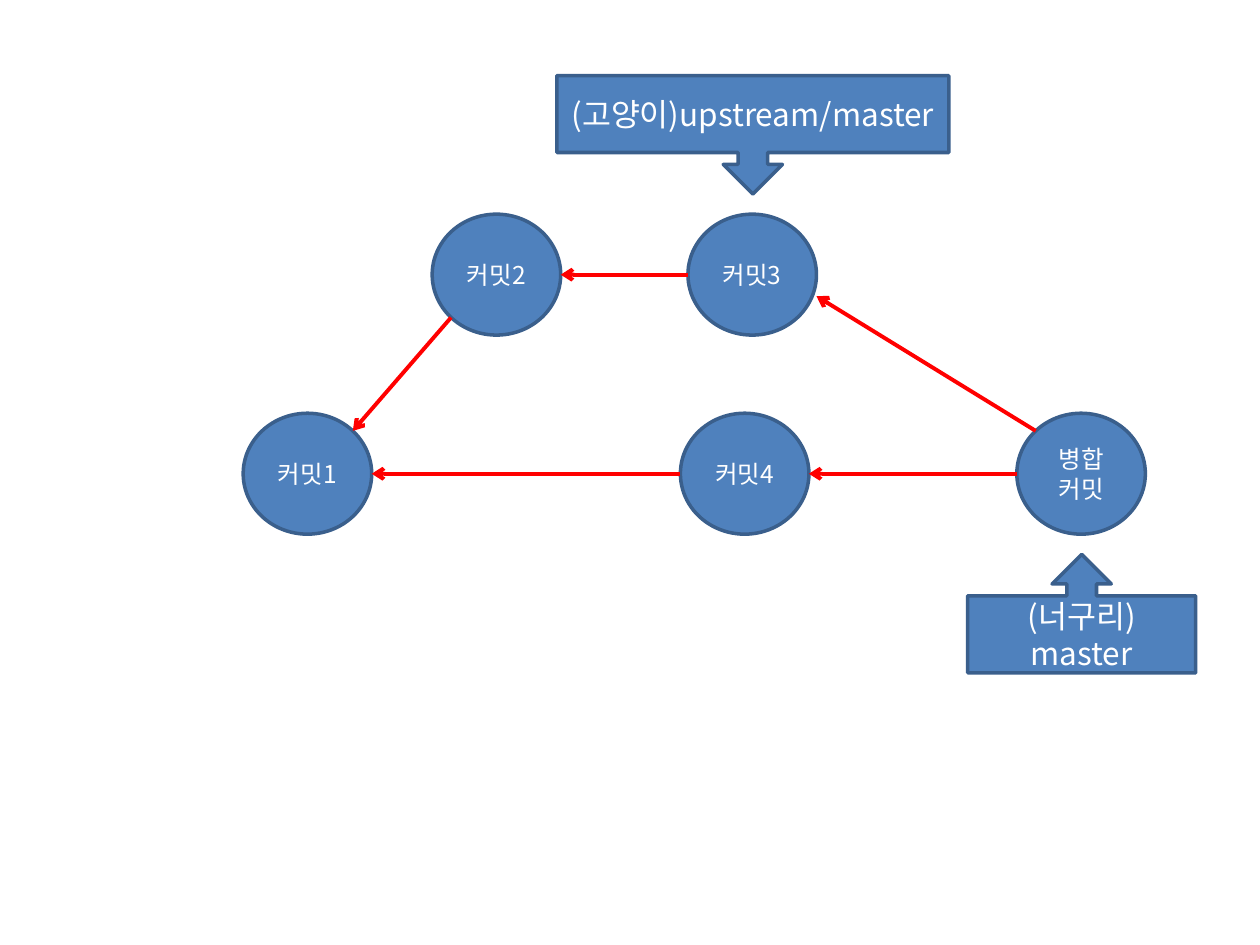
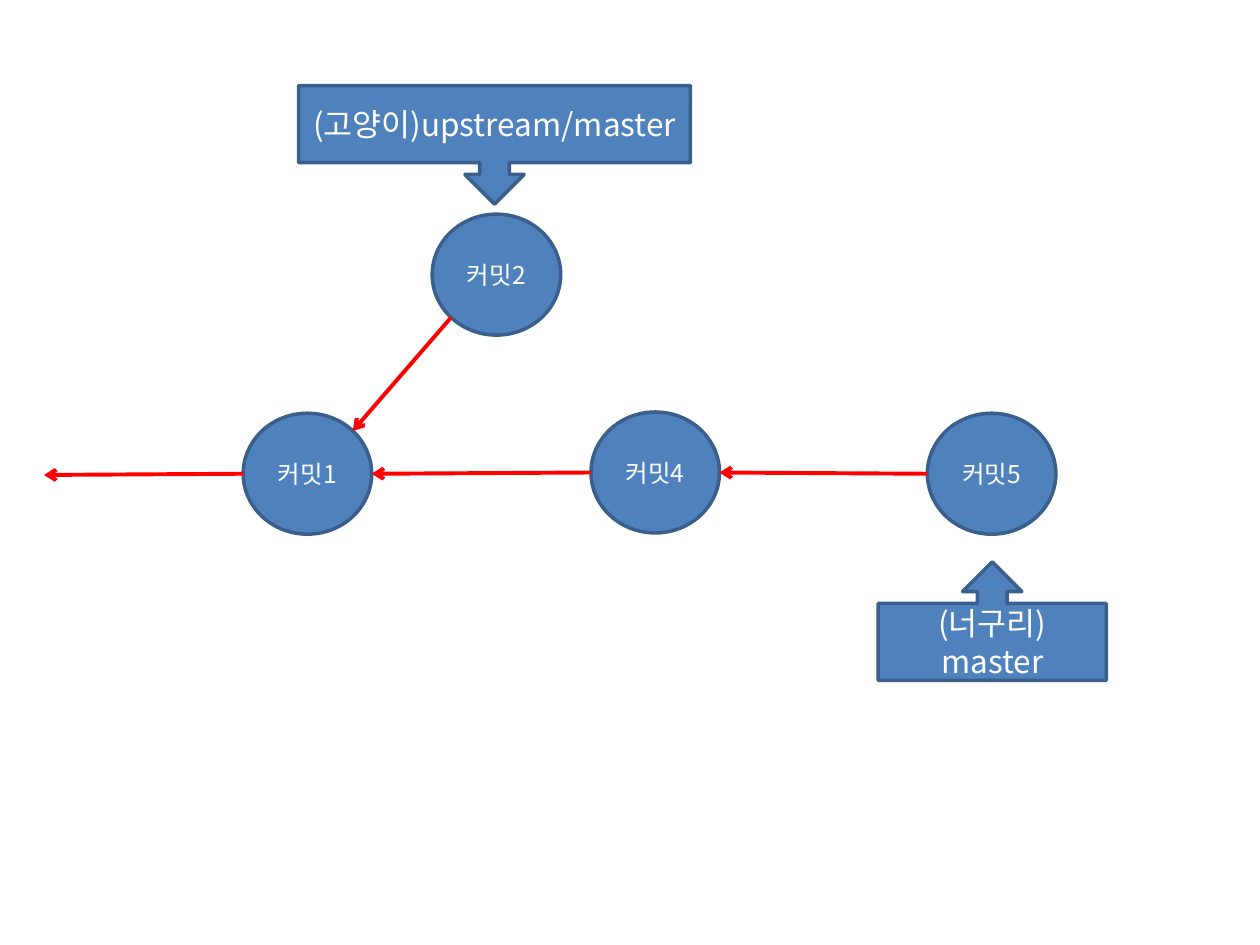
from dataclasses import dataclass
from math import sqrt

from lxml.etree import SubElement
from pptx import Presentation
from pptx.dml.color import RGBColor
from pptx.enum.shapes import MSO_CONNECTOR, MSO_SHAPE
from pptx.enum.text import MSO_ANCHOR, PP_ALIGN
from pptx.oxml.ns import qn
from pptx.shapes.autoshape import Shape
from pptx.slide import Slide
from pptx.util import Emu, Pt

# Shared style; 100 px make one inch
PX = 9144
FONT = "Noto Sans CJK KR"
BLUE, DARK_BLUE, RED, WHITE = "4F81BD", "3A5F8C", "FF0000", "FFFFFF"
COMMIT_WIDTH, COMMIT_HEIGHT = 102, 96
CALLOUT_HEIGHT = 94
UPSTREAM, LOCAL = "(고양이)upstream/master", "(너구리)\vmaster"

# Points on a commit's edge, as fractions of its radii
Edge = tuple[float, float]
DIAGONAL = 1 / sqrt(2)
LEFT, RIGHT = (-1, 0), (1, 0)
TOP_LEFT, TOP_RIGHT = (-DIAGONAL, -DIAGONAL), (DIAGONAL, -DIAGONAL)
BOTTOM_LEFT = (-DIAGONAL, DIAGONAL)
LOWER_RIGHT = (1, 0.35)


@dataclass(frozen=True)
class Commit:
    label: str
    left: int
    top: int

    def point(self, edge: Edge) -> tuple[int, int]:
        return (round(self.left + COMMIT_WIDTH / 2 * (1 + edge[0])),
                round(self.top + COMMIT_HEIGHT / 2 * (1 + edge[1])))


@dataclass(frozen=True)
class Branch:
    label: str
    left: int
    top: int
    width: int
    kind: MSO_SHAPE


@dataclass(frozen=True)
class Arrow:
    start: tuple[int, int]
    end: tuple[int, int]


@dataclass(frozen=True)
class History:
    commits: list[Commit]
    arrows: list[Arrow]
    branches: list[Branch]


def px(length: int) -> Emu:
    return Emu(length * PX)


def color(value: str) -> RGBColor:
    return RGBColor.from_string(value)


def upstream(left: int, top: int) -> Branch:
    return Branch(UPSTREAM, left, top, 311, MSO_SHAPE.DOWN_ARROW_CALLOUT)


def local(left: int, top: int) -> Branch:
    return Branch(LOCAL, left, top, 181, MSO_SHAPE.UP_ARROW_CALLOUT)


def link(child: Commit, child_edge: Edge, parent: Commit, parent_edge: Edge) -> Arrow:
    return Arrow(child.point(child_edge), parent.point(parent_edge))


def draw_shape(slide: Slide, kind: MSO_SHAPE, left: int, top: int,
               width: int, height: int, label: str, size: int) -> Shape:
    shape = slide.shapes.add_shape(kind, px(left), px(top), px(width), px(height))
    shape.shadow.inherit = False
    shape.fill.solid()
    shape.fill.fore_color.rgb = color(BLUE)
    shape.line.color.rgb = color(DARK_BLUE)
    shape.line.width = Pt(2)
    text_frame = shape.text_frame
    text_frame.word_wrap = True
    text_frame.vertical_anchor = MSO_ANCHOR.MIDDLE
    paragraph = text_frame.paragraphs[0]
    paragraph.text = label
    paragraph.alignment = PP_ALIGN.CENTER
    for run in paragraph.runs:
        run.font.size = Pt(size)
        run.font.color.rgb = color(WHITE)
        run.font.name = FONT
        # Korean glyphs take the East Asian typeface
        SubElement(run.font._element, qn("a:ea"), typeface=FONT)
    return shape


def draw_arrow(slide: Slide, arrow: Arrow) -> None:
    connector = slide.shapes.add_connector(
        MSO_CONNECTOR.STRAIGHT, *map(px, arrow.start + arrow.end))
    connector.line.color.rgb = color(RED)
    connector.line.width = Pt(2.25)
    SubElement(connector.line._get_or_add_ln(), qn("a:tailEnd"), type="arrow")
    SubElement(connector._element.spPr, qn("a:effectLst"))


def draw_history(slide: Slide, history: History) -> None:
    for commit in history.commits:
        draw_shape(slide, MSO_SHAPE.OVAL, commit.left, commit.top,
                   COMMIT_WIDTH, COMMIT_HEIGHT, commit.label, 14)
    for arrow in history.arrows:
        draw_arrow(slide, arrow)
    for branch in history.branches:
        draw_shape(slide, branch.kind, branch.left, branch.top,
                   branch.width, CALLOUT_HEIGHT, branch.label, 18)


# Commits on both slides
FIRST = Commit("커밋1", 193, 328)
SECOND = Commit("커밋2", 343, 170)
SECOND_TO_FIRST = link(SECOND, BOTTOM_LEFT, FIRST, TOP_RIGHT)


def merged_history() -> History:
    third = Commit("커밋3", 546, 170)
    fourth = Commit("커밋4", 540, 328)
    merge = Commit("병합커밋", 807, 328)
    return History(
        [FIRST, SECOND, third, fourth, merge],
        [SECOND_TO_FIRST,
         link(third, LEFT, SECOND, RIGHT),
         link(fourth, LEFT, FIRST, RIGHT),
         link(merge, TOP_LEFT, third, LOWER_RIGHT),
         link(merge, LEFT, fourth, RIGHT)],
        [local(768, 440), upstream(442, 60)])


def diverged_history() -> History:
    fourth = Commit("커밋4", 469, 327)
    fifth = Commit("커밋5", 736, 328)
    return History(
        [FIRST, SECOND, fourth, fifth],
        [SECOND_TO_FIRST,
         link(fourth, LEFT, FIRST, RIGHT),
         link(fifth, LEFT, fourth, RIGHT),
         Arrow(FIRST.point(LEFT), (35, 377))],
        [local(697, 446), upstream(237, 68)])


def main() -> None:
    presentation = Presentation()
    presentation.slide_width = px(1000)
    presentation.slide_height = px(750)
    blank_layout = presentation.slide_layouts[6]
    for history in (merged_history(), diverged_history()):
        draw_history(presentation.slides.add_slide(blank_layout), history)
    presentation.save("out.pptx")


if __name__ == "__main__":
    main()
